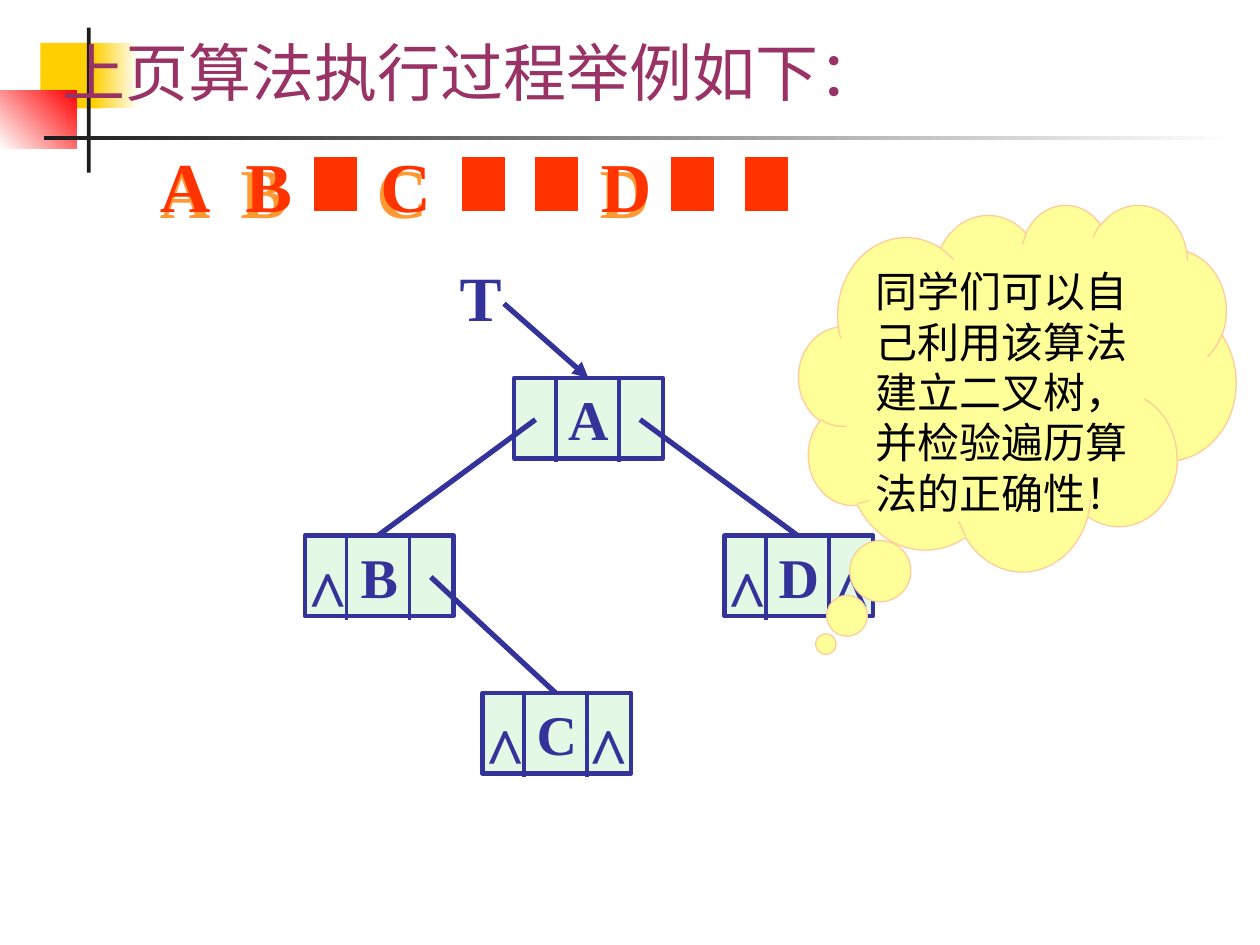
from dataclasses import dataclass

from lxml import etree
from pptx import Presentation
from pptx.dml.color import RGBColor
from pptx.enum import shapes, text
from pptx.oxml import ns
from pptx.util import Inches, Pt


@dataclass(frozen=True)
class Theme:
    gold: str = "FFCF01"
    red: str = "FF0000"
    white: str = "FFFFFF"
    charcoal: str = "1C1C1C"
    title: str = "993366"
    sequence: str = "FF3300"
    sequence_shade: str = "FF9933"
    tree: str = "333399"
    node: str = "CAF2CE"
    cloud: str = "FFFF99"
    cloud_edge: str = "FFCC99"
    black: str = "000000"
    serif: str = "Times New Roman"
    cjk: str = "Noto Sans CJK SC"
    sans: str = "Cabin"
    large: int = 40
    heading: int = 36
    label: int = 32
    note: int = 24


THEME = Theme()
NODE_WIDTH, NODE_HEIGHT = 1.18, 0.64
DIVIDERS = (0.33, 0.83)
NULL_OFFSETS = {"left": -0.08, "right": 0.74}
LINK_OFFSETS = {"left": 0.17, "right": 1.0}
NODES = {
    "A": (4.08, 3, ()),
    "B": (2.42, 4.25, ("left",)),
    "C": (3.83, 5.5, ("left", "right")),
    "D": (5.75, 4.25, ("left", "right")),
}
LINKS = (("A", "left", "B"), ("B", "right", "C"), ("A", "right", "D"))


def color(value):
    return RGBColor.from_string(value)


def add_child(parent, tag, **attributes):
    return etree.SubElement(parent, ns.qn(tag), **attributes)


def add_run(paragraph, words, size, ink, face=THEME.serif, bold=True):
    run = paragraph.add_run()
    run.text = words
    run.font.size = Pt(size)
    run.font.name = face
    run.font.bold = bold
    run.font.color.rgb = color(ink)
    add_child(run.font._element, "a:ea", typeface=face)


def add_label(slide, box, words, size, ink, face=THEME.serif, bold=True):
    label = slide.shapes.add_textbox(*map(Inches, box))
    frame = label.text_frame
    frame.word_wrap = False
    frame.auto_size = text.MSO_AUTO_SIZE.SHAPE_TO_FIT_TEXT
    add_run(frame.paragraphs[0], words, size, ink, face, bold)
    return frame.paragraphs[0]


def add_block(slide, box, fill, edge=None, weight=1, preset=shapes.MSO_SHAPE.RECTANGLE):
    block = slide.shapes.add_shape(preset, *map(Inches, box))
    block.shadow.inherit = False
    block.fill.solid()
    block.fill.fore_color.rgb = color(fill)
    if edge:
        block.line.color.rgb = color(edge)
        block.line.width = Pt(weight)
    else:
        block.line.fill.background()
    return block


def add_gradient_block(slide, box, start, end, angle=0):
    fill = add_block(slide, box, start).fill
    fill.gradient()
    fill.gradient_angle = angle
    for stop, shade, position in zip(fill.gradient_stops, (start, end), (0, 1)):
        stop.color.rgb = color(shade)
        stop.position = position


def add_line(slide, start, end, weight, arrow=False):
    line = slide.shapes.add_connector(
        shapes.MSO_CONNECTOR.STRAIGHT, *map(Inches, (*start, *end)))
    line.line.color.rgb = color(THEME.tree)
    line.line.width = Pt(weight)
    if arrow:
        add_child(line.line._get_or_add_ln(), "a:tailEnd", type="triangle")
    add_child(line._element.spPr, "a:effectLst")


def add_decoration(slide):
    add_block(slide, (0.32, 0.34, 0.48, 0.52), THEME.gold)
    add_gradient_block(slide, (0.74, 0.34, 0.36, 0.52), THEME.gold, THEME.white)
    add_gradient_block(slide, (0, 0.72, 0.61, 0.46), THEME.white, THEME.red, 45)
    add_block(slide, (0.69, 0.22, 0.03, 1.15), THEME.charcoal)
    add_gradient_block(slide, (0.35, 1.08, 9.45, 0.03), THEME.charcoal, THEME.white)


def add_sequence(slide):
    shade = add_label(slide, (1.17, 1, 6.67, 0.9), "A\tB\tC\tD",
                      THEME.large, THEME.sequence_shade)
    shade._p.getparent().getparent().txBody.bodyPr.set("wrap", "square")
    stops = add_child(shade._p.get_or_add_pPr(), "a:tabLst")
    for position in (0.64, 1.72, 3.49):
        add_child(stops, "a:tab", pos=str(Inches(position)), algn="l")
    shade.line_spacing = 1.2
    for left in (2.5, 3.67, 4.25, 5.33, 5.92):
        add_block(slide, (left, 1.25, 0.33, 0.42), THEME.sequence, THEME.sequence)
    for letter, left in zip("ABCD", (1.17, 1.85, 2.92, 4.67)):
        add_label(slide, (left, 1.08, 0.6, 0.77), letter, THEME.large, THEME.sequence)


def add_node(slide, letter, left, top, nulls):
    node = add_block(slide, (left, top, NODE_WIDTH, NODE_HEIGHT),
                     THEME.node, THEME.tree, 2.5)
    tint = node._element.spPr.find(ns.qn("a:solidFill"))[0]
    add_child(tint, "a:alpha", val="50000")
    paragraph = node.text_frame.paragraphs[0]
    paragraph.alignment = text.PP_ALIGN.CENTER
    add_run(paragraph, letter, THEME.label, THEME.tree)
    for offset in DIVIDERS:
        add_line(slide, (left + offset, top), (left + offset, top + 0.67), 2.25)
    for side in nulls:
        add_label(slide, (left + NULL_OFFSETS[side], top + 0.07, 0.52, 0.77),
                  "^", THEME.large, THEME.tree)


def add_tree(slide):
    for letter, (left, top, nulls) in NODES.items():
        add_node(slide, letter, left, top, nulls)
    for parent, side, child in LINKS:
        left, top, _ = NODES[parent]
        child_left, child_top, _ = NODES[child]
        add_line(slide, (left + LINK_OFFSETS[side], top + 0.33),
                 (child_left + 0.58, child_top), 3)
    add_label(slide, (3.55, 2, 0.53, 0.7), "T", THEME.heading, THEME.tree)
    add_line(slide, (4, 2.41), (4.67, 3), 3, arrow=True)


def add_cloud(slide):
    cloud = add_block(slide, (6.34, 1.62, 3.47, 2.91), THEME.cloud, THEME.cloud_edge,
                      0.75, shapes.MSO_SHAPE.CLOUD_CALLOUT)
    cloud.adjustments[0] = -0.438
    cloud.adjustments[1] = 0.7
    frame = cloud.text_frame
    frame.word_wrap = True
    frame.vertical_anchor = text.MSO_ANCHOR.TOP
    frame.paragraphs[0].alignment = text.PP_ALIGN.CENTER
    add_run(frame.paragraphs[0], "同学们可以自己利用该算法建立二叉树，并检验遍历算法的正确性！",
            THEME.note, THEME.black, THEME.sans, False)


def main():
    deck = Presentation()
    deck.slide_width, deck.slide_height = Inches(10), Inches(7.5)
    slide = deck.slides.add_slide(deck.slide_layouts[6])
    add_decoration(slide)
    add_sequence(slide)
    add_label(slide, (0.4, 0.22, 6.7, 0.7), "上页算法执行过程举例如下：",
              THEME.heading, THEME.title, THEME.cjk, False)
    add_tree(slide)
    add_cloud(slide)
    deck.save("out.pptx")


if __name__ == "__main__":
    main()
